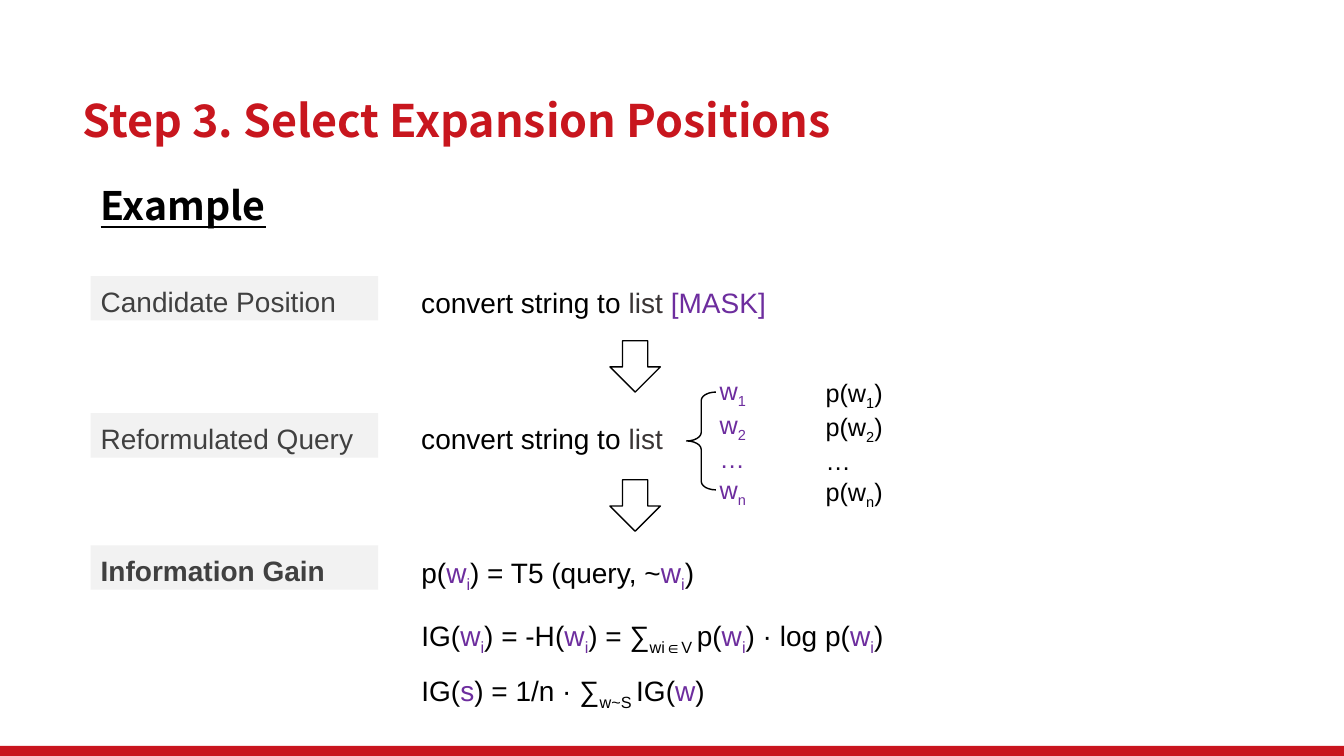
from pptx import Presentation
from pptx.dml.color import RGBColor
from pptx.enum.shapes import MSO_SHAPE
from pptx.enum.text import MSO_ANCHOR, PP_ALIGN
from pptx.util import Pt

RECTANGLE, DOWN_ARROW, LEFT_BRACE = MSO_SHAPE.RECTANGLE, MSO_SHAPE.DOWN_ARROW, MSO_SHAPE.LEFT_BRACE
TOP, MIDDLE, BOTTOM = MSO_ANCHOR.TOP, MSO_ANCHOR.MIDDLE, MSO_ANCHOR.BOTTOM
JUSTIFY = PP_ALIGN.JUSTIFY

EMU_PER_PX = 9144  # 100 px to the inch

THEME = {
    "heading_font": "Noto Sans CJK SC", "body_font": "Arial",
    "title_size": 32, "heading_size": 28, "body_size": 20, "word_size": 18,
    "subscript": "-25000",
    "bar": "C9151E", "title": "C8161E", "black": "000000", "purple": "6D2D9E",
    "term": "3A3535", "label": "404040", "label_fill": "F2F2F2",
}

# A run is (text, colour) or (text, colour, "sub"); a paragraph is a list of runs.
TITLE = "Step 3. Select Expansion Positions"
HEADING = "Example"
LABELS = [  # text, top, bold
    ("Candidate Position", 274, False),
    ("Reformulated Query", 410, False),
    ("Information Gain", 541, True),
]
QUERIES = [  # runs, top, width
    ([("convert string to ", "black"), ("list ", "term"), ("[MASK]", "purple")], 278, 573),
    ([("convert string to ", "black"), ("list", "term")], 413, 323),
]
W_I = [("w", "purple"), ("i", "purple", "sub")]
FORMULAS = [  # runs, space before, space after
    ([("p(", "black"), *W_I, (") = T5 (query, ~", "black"), *W_I, (")", "black")], 0, 12),
    ([("IG(", "black"), *W_I, (") = -H(", "black"), *W_I, (") = ∑", "black"),
      ("wi∈V ", "black", "sub"), ("p(", "black"), *W_I,
      (") · log p(", "black"), *W_I, (")", "black")], 6, 6),
    ([("IG(", "black"), ("s", "purple"), (") = 1/n · ∑", "black"),
      ("w~S ", "black", "sub"), ("IG(", "black"), ("w", "purple"), (")", "black")], 6, 12),
]
WORD_INDEXES = ["1", "2", None, "n"]  # None stands for the ellipsis row
ARROW_TOPS = [338, 476]

LABEL_LEFT, LABEL_WIDTH, ROW_HEIGHT = 90, 285, 44
CONTENT_LEFT = 408


def px(*lengths):
    return [length * EMU_PER_PX for length in lengths]


def color(name):
    return RGBColor.from_string(THEME[name])


def add_shape(slide, kind, box, fill=None, line=None):
    shape = slide.shapes.add_shape(kind, *px(*box))
    shape.shadow.inherit = False
    if fill:
        shape.fill.solid()
        shape.fill.fore_color.rgb = color(fill)
    else:
        shape.fill.background()
    if line:
        shape.line.color.rgb = color(line)
        shape.line.width = Pt(1)
    else:
        shape.line.fill.background()
    return shape


def write(shape, paragraphs, size, font="body_font", bold=False, underline=False, anchor=TOP):
    """Fill the shape with paragraphs of runs and return the new paragraphs."""
    frame = shape.text_frame
    frame.word_wrap = True
    frame.vertical_anchor = anchor
    written = []
    for index, runs in enumerate(paragraphs):
        paragraph = frame.add_paragraph() if index else frame.paragraphs[0]
        for text, color_name, *subscript in runs:
            run = paragraph.add_run()
            run.text = text
            run.font.name = THEME[font]
            run.font.size = Pt(THEME[size])
            run.font.bold = bold
            run.font.underline = underline
            run.font.color.rgb = color(color_name)
            if subscript:
                run.font._element.set("baseline", THEME["subscript"])
        written.append(paragraph)
    return written


def add_text(slide, box, paragraphs, size, **style):
    return write(slide.shapes.add_textbox(*px(*box)), paragraphs, size, **style)


def indexed_words(color_name, before="", after=""):
    """One paragraph per word index, such as p(w₁)."""
    rows = []
    for index in WORD_INDEXES:
        if index is None:
            rows.append([("…", color_name)])
            continue
        row = [(before + "w", color_name), (index, color_name, "sub")]
        rows.append(row + [(after, color_name)] if after else row)
    return rows


def main():
    presentation = Presentation()
    presentation.slide_width, presentation.slide_height = px(1333, 750)
    slide = presentation.slides.add_slide(presentation.slide_layouts[6])

    add_shape(slide, RECTANGLE, (0, 740, 1333, 10), fill="bar")
    title = add_text(slide, (72, 88, 1221, 63), [[(TITLE, "title")]], "title_size",
                     font="heading_font", bold=True, anchor=BOTTOM)
    title[0].line_spacing = 0.9
    add_text(slide, (LABEL_LEFT, 175, 240, 57), [[(HEADING, "black")]], "heading_size",
             font="heading_font", bold=True, underline=True, anchor=MIDDLE)

    for text, top, bold in LABELS:
        label = add_shape(slide, RECTANGLE, (LABEL_LEFT, top, LABEL_WIDTH, ROW_HEIGHT),
                          fill="label_fill")
        paragraph = write(label, [[(text, "label")]], "body_size", bold=bold)[0]
        paragraph.alignment = JUSTIFY
        paragraph.line_spacing = 1.1

    for runs, top, width in QUERIES:
        add_text(slide, (CONTENT_LEFT, top, width, ROW_HEIGHT), [runs], "body_size")

    formulas = add_text(slide, (CONTENT_LEFT, 546, 641, 153),
                        [runs for runs, _, _ in FORMULAS], "body_size")
    for paragraph, (_, before, after) in zip(formulas, FORMULAS):
        paragraph.space_before = Pt(before)
        paragraph.space_after = Pt(after)

    for top in ARROW_TOPS:
        add_shape(slide, DOWN_ARROW, (605, top, 50, 51), line="black")

    add_text(slide, (704, 367, 50, 131), indexed_words("purple"), "word_size")
    brace = add_shape(slide, LEFT_BRACE, (681, 389, 29, 97), line="black")
    brace.adjustments[0] = 0.29
    add_text(slide, (809, 369, 104, 131), indexed_words("black", "p(", ")"), "word_size")

    presentation.save("out.pptx")


if __name__ == "__main__":
    main()
